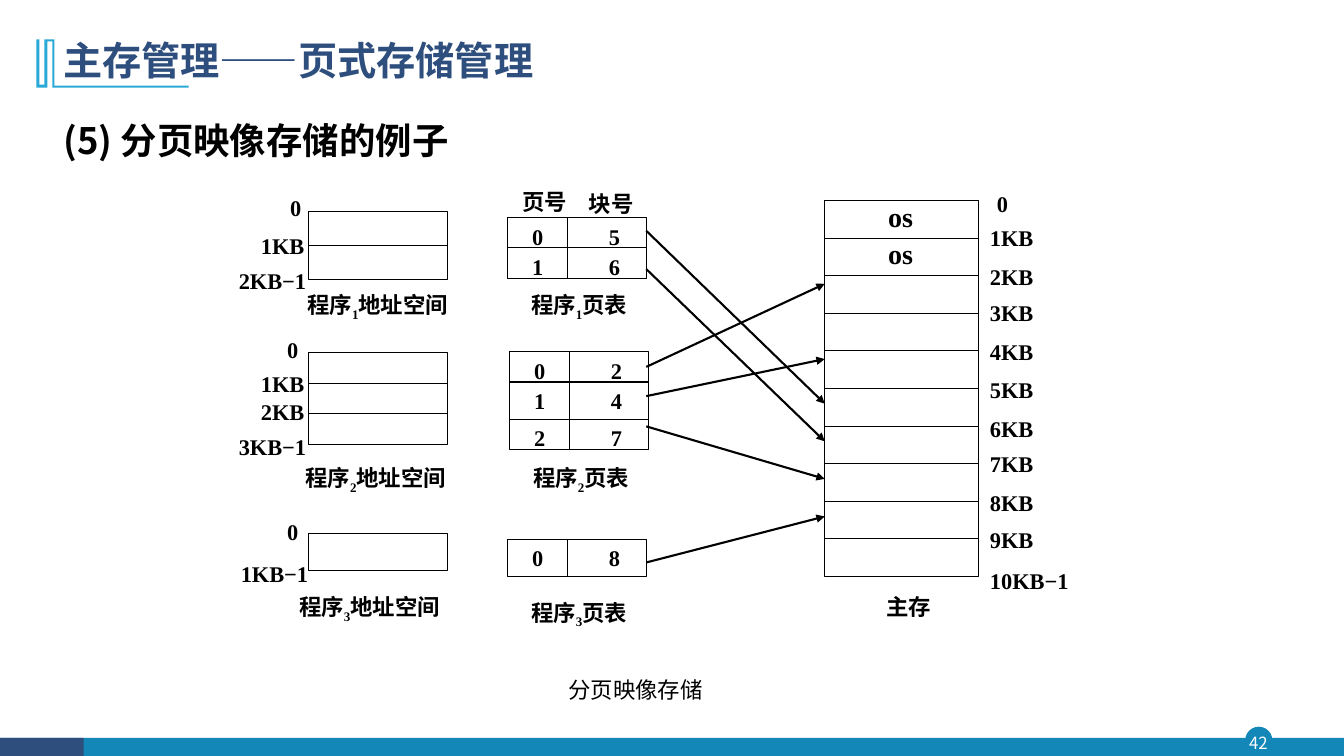
from dataclasses import dataclass

from lxml.etree import SubElement
from pptx import Presentation
from pptx.dml.color import RGBColor
from pptx.enum.shapes import MSO_CONNECTOR as CONN, MSO_SHAPE as SHAPE
from pptx.enum.text import MSO_ANCHOR as ANCHOR, MSO_AUTO_SIZE as AUTO, PP_ALIGN as ALIGN
from pptx.oxml.ns import qn
from pptx.util import Pt

PX = 9144


@dataclass(frozen=True)
class Theme:
    """Colours, fonts and type sizes of the slide."""
    ink: str = "000000"
    navy: str = "2E4E7E"
    blue: str = "1387B7"
    sky: str = "28A9D6"
    white: str = "FFFFFF"
    serif: str = "Times New Roman"
    sans: str = "Noto Sans CJK SC"
    title: int = 28
    heading: int = 26
    block: int = 20
    body: int = 16
    number: int = 12
    thin: float = 0.75
    thick: float = 1.5


T = Theme()
LABEL_WIDTH = {1: 33, 2: 69, 3: 74, 5: 97, 6: 99}


def emu(*lengths):
    """Turn px lengths into EMU."""
    return [round(v * PX) for v in lengths]


def rgb(color):
    """Return a colour object for a hex string."""
    return RGBColor.from_string(color)


def add_text(s, box, text, size=T.body, font=T.serif, color=T.ink, bold=True,
             align=None, anchor=ANCHOR.TOP, spacing=None, grow=False, inset=None):
    """Add a text box; text is a string or a list of (string, is_subscript)."""
    tf = s.shapes.add_textbox(*emu(*box)).text_frame
    tf.word_wrap = True
    tf.vertical_anchor = anchor
    tf.auto_size = AUTO.SHAPE_TO_FIT_TEXT if grow else AUTO.NONE
    if inset is not None:
        tf.margin_left = tf.margin_right = tf.margin_top = tf.margin_bottom = inset
    p = tf.paragraphs[0]
    p.alignment = align
    p.line_spacing = spacing
    for part, subscript in [(text, False)] if isinstance(text, str) else text:
        r = p.add_run()
        r.text = part
        r.font.size, r.font.bold, r.font.name = Pt(size), bold, font
        r.font.color.rgb = rgb(color)
        rPr = r.font._element
        SubElement(rPr, qn("a:ea"), typeface=T.sans)
        if subscript:
            rPr.set("baseline", "-25000")


def add_label(s, x, y, text):
    """Add a short bold label whose width follows its length."""
    add_text(s, (x, y, LABEL_WIDTH[len(text)], 33), text, align=ALIGN.JUSTIFY)


def add_caption(s, box, number, noun):
    """Add a caption with the program number as a subscript."""
    add_text(s, box, [("程序", False), (str(number), True), (noun, False)], grow=True)


def add_filled(s, kind, box, color):
    """Add a preset shape in one flat colour."""
    sp = s.shapes.add_shape(kind, *emu(*box))
    sp.shadow.inherit = False
    sp.fill.solid()
    sp.fill.fore_color.rgb = rgb(color)
    sp.line.fill.background()


def add_frame(s, box):
    """Add an unfilled rectangle with a thin outline."""
    sp = s.shapes.add_shape(SHAPE.RECTANGLE, *emu(*box))
    sp.shadow.inherit = False
    sp.fill.background()
    sp.line.color.rgb = rgb(T.ink)
    sp.line.width = Pt(T.thin)


def add_line(s, x1, y1, x2, y2, width=T.thin, arrow=False):
    """Add a straight line, with an arrowhead at its end if asked."""
    c = s.shapes.add_connector(CONN.STRAIGHT, *emu(x1, y1, x2, y2))
    c.line.color.rgb = rgb(T.ink)
    c.line.width = Pt(width)
    if arrow:
        SubElement(c.line._get_or_add_ln(), qn("a:tailEnd"), type="triangle")
    SubElement(c._element.spPr, qn("a:effectLst"))


def add_header(s, x, y):
    """Draw the corner ornament, the title and the heading."""
    points = [(18, 0), (18, 46), (151, 46), (151, 48), (16, 48), (16, 2), (11, 2), (11, 48),
              (0, 48), (0, 0), (3, 0), (3, 45), (8, 45), (8, 0)]
    points = [(x + dx, y + dy) for dx, dy in points]
    fb = s.shapes.build_freeform(*points[0], scale=PX)
    fb.add_line_segments(points[1:], close=True)
    sp = fb.convert_to_shape()
    sp.shadow.inherit = False
    sp.fill.solid()
    sp.fill.fore_color.rgb = rgb(T.sky)
    sp.line.fill.background()
    add_text(s, (x + 17, y - 5, 1049, 56), "主存管理——页式存储管理", size=T.title,
             font=T.sans, color=T.navy, anchor=ANCHOR.MIDDLE, spacing=0.9)
    add_text(s, (x + 17, y + 52, 916, 68), "(5) 分页映像存储的例子", size=T.heading,
             font=T.sans, align=ALIGN.JUSTIFY, spacing=1.5, grow=True)


def add_footer(s, y, width, height):
    """Draw the bottom band and the page number."""
    add_filled(s, SHAPE.OVAL, (1235, y - 11, 27, 27), T.blue)
    add_filled(s, SHAPE.RECTANGLE, (0, y, width, height), T.blue)
    add_filled(s, SHAPE.RECTANGLE, (0, y, 83, height), T.navy)
    add_text(s, (1232, y - 11, 32, 31), "42", size=T.number, font=T.sans, color=T.white,
             bold=False, align=ALIGN.CENTER, anchor=ANCHOR.MIDDLE, inset=0)


def add_address_space(s, box, number, pages, labels, caption):
    """Draw one program's address space with its page limits."""
    x, y, w, h = box
    add_frame(s, box)
    for i in range(1, pages):
        row_y = y + h * i / pages
        add_line(s, x, row_y, x + w, row_y)
    for text, dx, dy in labels:
        add_label(s, x + dx, y + dy, text)
    dx, dy, width = caption
    add_caption(s, (x + dx, y + dy, width, 37), number, "地址空间")


def add_page_table(s, box, number, rows, caption_y):
    """Draw one page table; rows hold (offset, page, block)."""
    x, y, w, h = box
    add_frame(s, box)
    add_line(s, x + 60, y, x + 60, y + h)
    for dy, page, block in rows:
        if dy:
            add_line(s, x, y + dy, x + w, y + dy)
        add_label(s, x + 15, y + dy, page)
        add_label(s, x + 91, y + dy, block)
    add_caption(s, (x + 14, caption_y, 130, 37), number, "页表")


def add_memory(s, box, label_tops):
    """Draw main memory with its block limits."""
    x, y, w, h = box
    step = h / 10
    add_frame(s, box)
    for i in range(1, 10):
        add_line(s, x, y + step * i, x + w, y + step * i)
    for i in range(2):
        add_text(s, (x + 53, y + step * i, 61, 28), "os", size=T.block,
                 align=ALIGN.JUSTIFY, spacing=0.8)
    for i, top in enumerate(label_tops):
        text = "0" if i == 0 else "10KB−1" if i == 10 else f"{i}KB"
        add_label(s, x + (161 if i == 0 else 154), top, text)
    add_text(s, (x + 51, y + h + 12, 75, 37), "主存", grow=True)


def add_mappings(s, x1, x2, memory_top, step, mappings):
    """Draw arrows from page rows to memory blocks."""
    for row_y, block, dy in mappings:
        add_line(s, x1, row_y, x2, memory_top + step * block + dy, T.thick, arrow=True)


def add_paging_slide(prs):
    """Build the paging example slide."""
    s = prs.slides.add_slide(prs.slide_layouts[6])
    add_footer(s, 732, 1333, 18)
    add_header(s, 36, 39)
    add_address_space(s, (306, 210, 138, 67), 1, 2,
                      [("0", -28, -22), ("1KB", -57, 15), ("2KB−1", -79, 50)], (-11, 74, 167))
    add_address_space(s, (306, 350, 138, 91), 2, 3,
                      [("0", -31, -21), ("1KB", -57, 12), ("2KB", -57, 40), ("3KB−1", -79, 75)],
                      (-13, 106, 178))
    add_address_space(s, (306, 529, 138, 37), 3, 1,
                      [("0", -31, -20), ("1KB−1", -77, 22)], (-19, 55, 168))
    add_label(s, 508, 182, "页号")
    add_label(s, 574, 184, "块号")
    add_page_table(s, (503, 216, 138, 60), 1, [(0, "0", "5"), (30, "1", "6")], 284)
    add_page_table(s, (505, 349, 138, 97), 2,
                   [(0, "0", "2"), (30, "1", "4"), (67, "2", "7")], 456)
    add_page_table(s, (503, 535, 138, 37), 3, [(0, "0", "8")], 589)
    add_memory(s, (818, 199, 153, 373),
               [184, 217, 256, 292, 331, 368, 407, 442, 480, 517, 558])
    add_mappings(s, 641, 818, 199, 37.3,
                 [(229, 5, 15), (267, 6, 15), (364, 2, 8), (393, 4, 8),
                  (423, 7, 15), (558, 8, 15)])
    add_text(s, (554, 666, 179, 37), "分页映像存储", bold=False, grow=True)


def main():
    """Create the presentation and save it."""
    prs = Presentation()
    prs.slide_width, prs.slide_height = emu(1333, 750)
    add_paging_slide(prs)
    prs.save("out.pptx")


if __name__ == "__main__":
    main()
